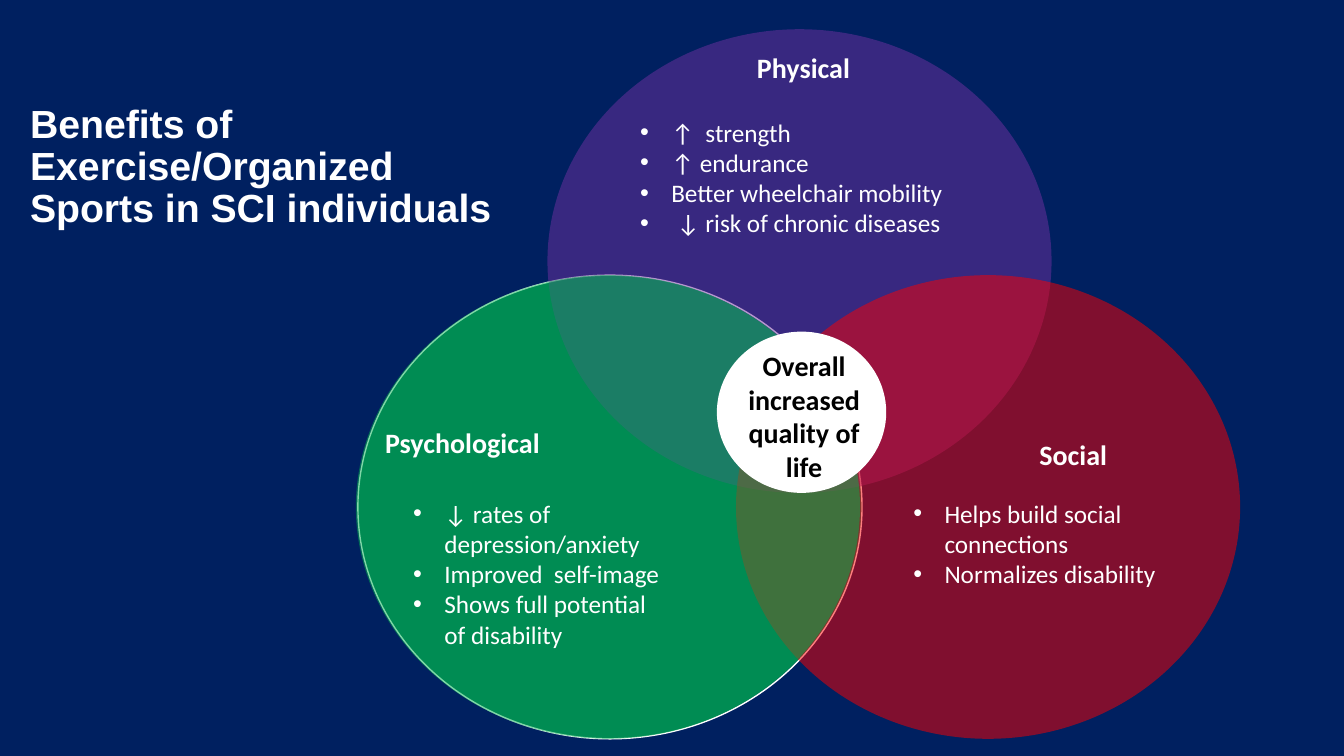
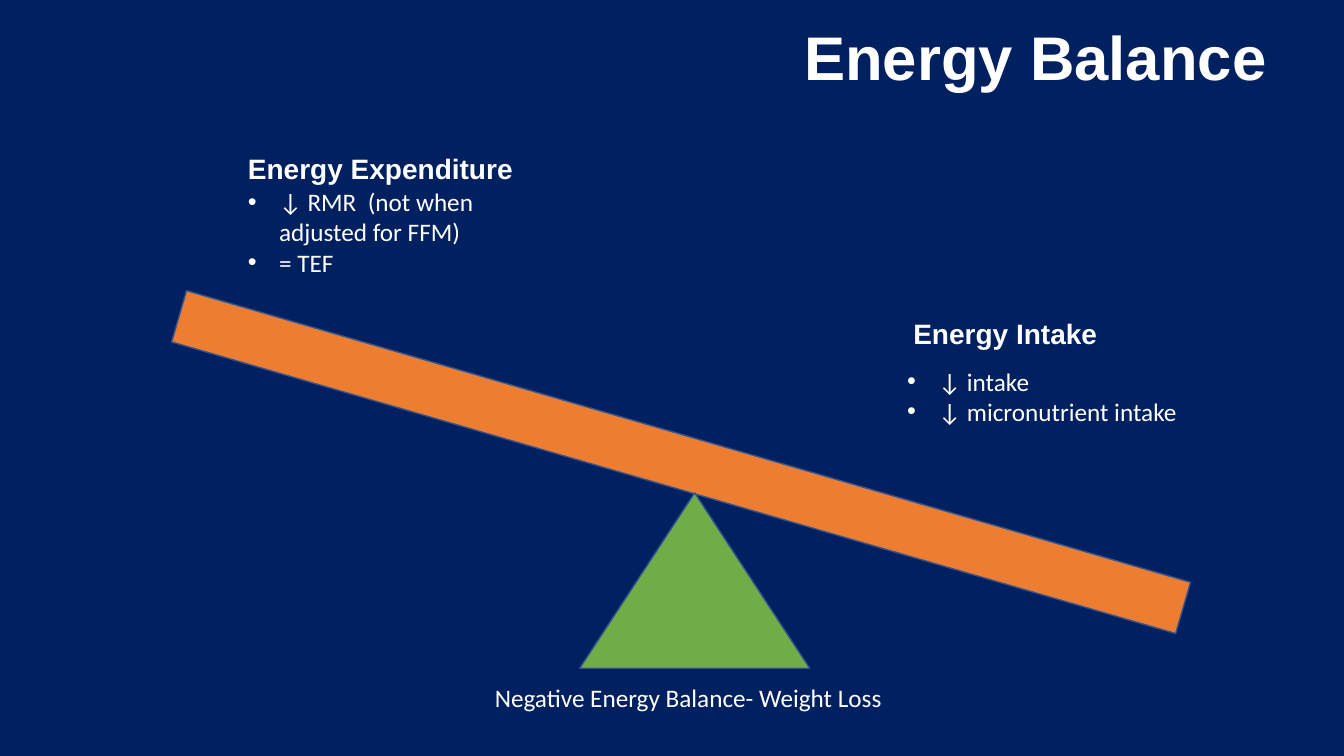
"""Build two slides on exercise benefits and energy balance."""
from dataclasses import dataclass

from lxml import etree
from pptx import Presentation
from pptx import util as u
from pptx.dml.color import RGBColor
from pptx.enum import shapes, text
from pptx.oxml import ns

NAVY = RGBColor(0x00, 0x20, 0x60)
WHITE = RGBColor(0xFF, 0xFF, 0xFF)
BLACK = RGBColor(0x00, 0x00, 0x00)
GREEN = RGBColor(0x00, 0xB0, 0x50)
PURPLE = RGBColor(0x70, 0x30, 0xA0)
RED = RGBColor(0xFF, 0x00, 0x00)
ORANGE = RGBColor(0xED, 0x7D, 0x31)
LEAF = RGBColor(0x70, 0xAD, 0x47)
EDGE = RGBColor(0x32, 0x54, 0x91)

SANS = "Arial"
BODY = "Calibri"
INDENT = u.Inches(0.31)
KIND = shapes.MSO_SHAPE
ALIGN = text.PP_ALIGN

Box = tuple[float, float, float, float]


@dataclass(frozen=True)
class Form:
    """A filled preset shape."""
    box: Box
    fill: RGBColor
    kind: KIND = KIND.OVAL
    line: RGBColor | None = None
    alpha: int = 100
    turn: float = 0


@dataclass(frozen=True)
class Note:
    """A text box with one paragraph per line."""
    box: Box
    lines: tuple[str, ...]
    size: int = 18
    font: str = BODY
    bold: bool = False
    color: RGBColor = WHITE
    align: ALIGN = ALIGN.LEFT
    bullet: bool = False


def head(box: Box, line: str, font: str = BODY) -> Note:
    """Return a bold heading."""
    return Note(box, (line,), 20, font, True)


def points(box: Box, *lines: str) -> Note:
    """Return a bulleted list."""
    return Note(box, lines, bullet=True)


def ring(left: float, top: float, fill: RGBColor,
         line: RGBColor | None = None) -> Form:
    """Return one see-through circle of the Venn diagram."""
    return Form((left, top, 5, 4.6), fill, line=line, alpha=50)


def place(box: Box) -> list[u.Length]:
    """Turn a box in inches into lengths."""
    return [u.Inches(side) for side in box]


def draw(slide, form: Form) -> None:
    """Draw a filled shape."""
    shape = slide.shapes.add_shape(form.kind, *place(form.box))
    shape.shadow.inherit = False
    shape.rotation = form.turn
    shape.fill.solid()
    shape.fill.fore_color.rgb = form.fill
    if form.alpha < 100:
        tint = shape.fill._xPr.find(".//" + ns.qn("a:srgbClr"))
        etree.SubElement(tint, ns.qn("a:alpha"), val=str(form.alpha * 1000))
    if form.line is None:
        shape.line.fill.background()
    else:
        shape.line.color.rgb = form.line
        shape.line.width = u.Pt(1)


def dot(para) -> None:
    """Give a paragraph a bullet and a hanging indent."""
    props = para._p.get_or_add_pPr()
    props.set("marL", str(INDENT))
    props.set("indent", str(-INDENT))
    etree.SubElement(props, ns.qn("a:buFont"), typeface=SANS)
    etree.SubElement(props, ns.qn("a:buChar"), char="•")


def write(slide, note: Note):
    """Draw a text box and return its frame."""
    frame = slide.shapes.add_textbox(*place(note.box)).text_frame
    frame.word_wrap = True
    frame.text = "\n".join(note.lines)
    for para in frame.paragraphs:
        para.alignment = note.align
        if note.bullet:
            dot(para)
        for run in para.runs:
            run.font.name = note.font
            run.font.size = u.Pt(note.size)
            run.font.bold = note.bold
            run.font.color.rgb = note.color
    return frame


def build(deck, title: Note, forms: list[Form], notes: list[Note]) -> None:
    """Add one slide with a title, shapes and text."""
    slide = deck.slides.add_slide(deck.slide_layouts[6])
    frame = write(slide, title)
    frame.vertical_anchor = text.MSO_ANCHOR.MIDDLE
    frame.paragraphs[0].line_spacing = 0.9
    for form in forms:
        draw(slide, form)
    for note in notes:
        write(slide, note)


def main() -> None:
    """Build and save the deck."""
    deck = Presentation()
    deck.slide_width, deck.slide_height = u.Inches(13.33), u.Inches(7.5)
    back = deck.slide_master.background.fill
    back.solid()
    back.fore_color.rgb = NAVY

    build(
        deck,
        Note((0.2, 0.45, 4.82, 2.43),
             ("Benefits of Exercise/Organized Sports in SCI individuals",),
             28, SANS, True),
        [
            ring(3.55, 2.73, GREEN, WHITE),
            ring(5.43, 0.29, PURPLE),
            ring(7.3, 2.73, RED),
            ring(3.53, 2.73, GREEN),
            Form((7.11, 3.29, 1.68, 1.6), WHITE),
        ],
        [
            head((7.41, 0.45, 1.14, 0.44), "Physical"),
            head((3.72, 4.17, 2.11, 0.44), "Psychological"),
            head((10.21, 4.29, 1.08, 0.44), "Social"),
            Note((7.17, 3.41, 1.61, 1.45),
                 ("Overall increased quality of life",),
                 20, bold=True, color=BLACK, align=ALIGN.CENTER),
            points((4, 4.89, 2.66, 1.62), "↓ rates of depression/anxiety",
                   "Improved  self-image",
                   "Shows full potential of disability"),
            points((6.25, 1.11, 3.34, 1.31), "↑  strength", "↑ endurance",
                   "Better wheelchair mobility",
                   " ↓ risk of chronic diseases"),
            points((8.96, 4.89, 2.8, 1.01), "Helps build social connections",
                   "Normalizes disability"),
        ],
    )
    build(
        deck,
        Note((7.88, 0.21, 5.06, 0.79), ("Energy Balance",), 44, SANS, True),
        [
            Form((1.57, 4.32, 10.37, 0.53), ORANGE, KIND.RECTANGLE, EDGE,
                 turn=16.2),
            Form((5.75, 4.89, 2.28, 1.74), LEAF, KIND.ISOSCELES_TRIANGLE,
                 EDGE),
        ],
        [
            head((8.96, 3.09, 2.63, 0.44), "Energy Intake", SANS),
            Note((4.81, 6.72, 4.16, 0.4),
                 ("Negative Energy Balance- Weight Loss",)),
            head((2.36, 1.45, 3.62, 0.44), "Energy Expenditure", SANS),
            points((2.36, 1.8, 2.74, 1.31),
                   "↓ RMR  (not when adjusted for FFM)", "= TEF"),
            points((8.9, 3.58, 3, 1.31), "↓ intake",
                   "↓ micronutrient intake"),
        ],
    )
    deck.save("out.pptx")


if __name__ == "__main__":
    main()
